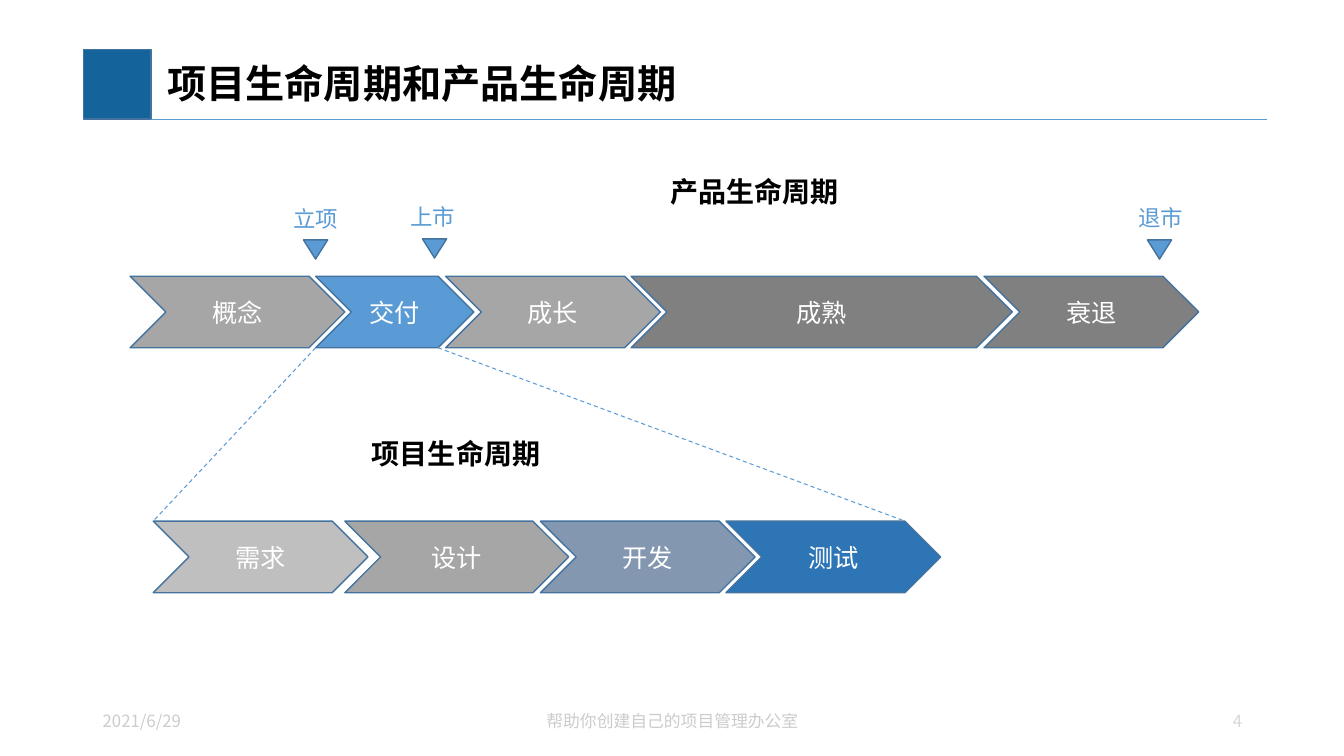
from pptx import Presentation
from pptx.dml.color import RGBColor
from pptx.enum import dml, shapes, text
from pptx.oxml import ns, xmlchemy
from pptx.util import Inches, Pt

FONT = "Noto Sans CJK SC"
BLACK = RGBColor(0, 0, 0)
WHITE = RGBColor(255, 255, 255)
BLUE = RGBColor(0x5B, 0x9B, 0xD5)
OUTLINE = RGBColor(0x43, 0x73, 0x9E)
BANNER = RGBColor(0x15, 0x63, 0x9B)
TEST_BLUE = RGBColor(0x2E, 0x75, 0xB6)
SLATE = RGBColor(0x84, 0x97, 0xB0)
SILVER = RGBColor(0xBF, 0xBF, 0xBF)
GRAY = RGBColor(0xA6, 0xA6, 0xA6)
DARK_GRAY = RGBColor(0x80, 0x80, 0x80)
FOOTER_GRAY = RGBColor(0xCC, 0xCC, 0xCC)
NUMBER_GRAY = RGBColor(0xD6, 0xD6, 0xD6)

LEFT, CENTER, RIGHT = text.PP_ALIGN.LEFT, text.PP_ALIGN.CENTER, text.PP_ALIGN.RIGHT
STAGE_HEIGHT = 0.71
PRODUCT_TOP, PROJECT_TOP = 2.74, 5.17

TITLE = "项目生命周期和产品生命周期"
PRODUCT_STAGES = [
    ("概念", 1.29, 2.13, GRAY),
    ("交付", 3.13, 1.57, BLUE),
    ("成长", 4.42, 2.13, GRAY),
    ("成熟", 6.26, 3.78, DARK_GRAY),
    ("衰退", 9.76, 2.13, DARK_GRAY),
]
PROJECT_STAGES = [
    ("需求", 1.52, 2.13, SILVER),
    ("设计", 3.42, 2.22, GRAY),
    ("开发", 5.36, 2.13, SLATE),
    ("测试", 7.2, 2.13, TEST_BLUE),
]
MILESTONES = [
    ("立项", 2.81, 1.99, 3.01, 2.38),
    ("上市", 3.97, 1.97, 4.19, 2.37),
    ("退市", 11.19, 1.98, 11.38, 2.38),
]
HEADINGS = [("产品生命周期", 6.55, 1.68), ("项目生命周期", 3.59, 4.28)]
FOOTERS = [
    ("2021/6/29", 0.92, 6.95, 3, 0.4, LEFT, FOOTER_GRAY),
    ("帮助你创建自己的项目管理办公室", 4.42, 6.95, 4.5, 0.4, CENTER, FOOTER_GRAY),
    ("4", 9.66, 6.94, 2.76, 0.42, RIGHT, NUMBER_GRAY),
]

deck = Presentation()
deck.slide_width, deck.slide_height = Inches(13.33), Inches(7.5)
page = deck.slides.add_slide(deck.slide_layouts[5])


def write(box, words, size, color, align=LEFT, bold=False, middle=True):
    frame = box.text_frame
    frame.text = words
    frame.vertical_anchor = text.MSO_ANCHOR.MIDDLE if middle else text.MSO_ANCHOR.TOP
    para = frame.paragraphs[0]
    para.alignment = align
    span = para.runs[0]
    span.font.size, span.font.bold, span.font.name = Pt(size), bold, FONT
    span.font.color.rgb = color
    east_asian = xmlchemy.OxmlElement("a:ea")
    east_asian.set("typeface", FONT)
    span.font._element.find(ns.qn("a:latin")).addnext(east_asian)


def add_label(words, left, top, width, height, size, color, bold=False):
    box = page.shapes.add_textbox(*map(Inches, (left, top, width, height)))
    write(box, words, size, color, bold=bold, middle=False)
    box.text_frame.word_wrap = False
    box.text_frame.auto_size = text.MSO_AUTO_SIZE.SHAPE_TO_FIT_TEXT


def add_filled(kind, left, top, width, height, color):
    shape = page.shapes.add_shape(kind, *map(Inches, (left, top, width, height)))
    shape.shadow.inherit = False
    shape.fill.solid()
    shape.fill.fore_color.rgb = color
    shape.line.color.rgb = OUTLINE
    shape.line.width = Pt(1)
    return shape


def add_line(x1, y1, x2, y2, width):
    line = page.shapes.add_connector(
        shapes.MSO_CONNECTOR.STRAIGHT, *map(Inches, (x1, y1, x2, y2)))
    line.line.color.rgb = BLUE
    line.line.width = Pt(width)
    line._element.spPr.append(xmlchemy.OxmlElement("a:effectLst"))
    return line


def add_stages(stages, top):
    for words, left, width, color in stages:
        stage = add_filled(shapes.MSO_SHAPE.CHEVRON, left, top, width, STAGE_HEIGHT, color)
        write(stage, words, 18, WHITE, CENTER)


add_filled(shapes.MSO_SHAPE.RECTANGLE, 0.83, 0.49, 0.67, 0.69, BANNER)
add_line(1.5, 1.18, 12.57, 1.18, 0.5)

title = page.shapes.title
title.left, title.top, title.width, title.height = map(Inches, (1.5, 0.5, 11.07, 0.7))
write(title, TITLE, 28, BLACK, bold=True)
title.text_frame.margin_left = Inches(0.16)
title.text_frame.paragraphs[0].line_spacing = 0.9

add_stages(PRODUCT_STAGES, PRODUCT_TOP)
add_stages(PROJECT_STAGES, PROJECT_TOP)

delivery_left, delivery_width = PRODUCT_STAGES[1][1:3]
test_left, test_width = PROJECT_STAGES[-1][1:3]
point = STAGE_HEIGHT / 2
for start, end in [
    (delivery_left, PROJECT_STAGES[0][1]),
    (delivery_left + delivery_width - point, test_left + test_width - point),
]:
    guide = add_line(start, PRODUCT_TOP + STAGE_HEIGHT, end, PROJECT_TOP, 0.75)
    guide.line.dash_style = dml.MSO_LINE.DASH

for words, label_left, label_top, marker_left, marker_top in MILESTONES:
    marker = add_filled(
        shapes.MSO_SHAPE.ISOSCELES_TRIANGLE, marker_left, marker_top, 0.24, 0.19, BLUE)
    marker.rotation = 180
    add_label(words, label_left, label_top, 0.65, 0.37, 16, BLUE)

for words, left, top in HEADINGS:
    add_label(words, left, top, 1.88, 0.44, 20, BLACK, bold=True)

for words, left, top, width, height, align, color in FOOTERS:
    footer = page.shapes.add_textbox(*map(Inches, (left, top, width, height)))
    footer.text_frame.word_wrap = True
    write(footer, words, 12, color, align)

deck.save("out.pptx")
